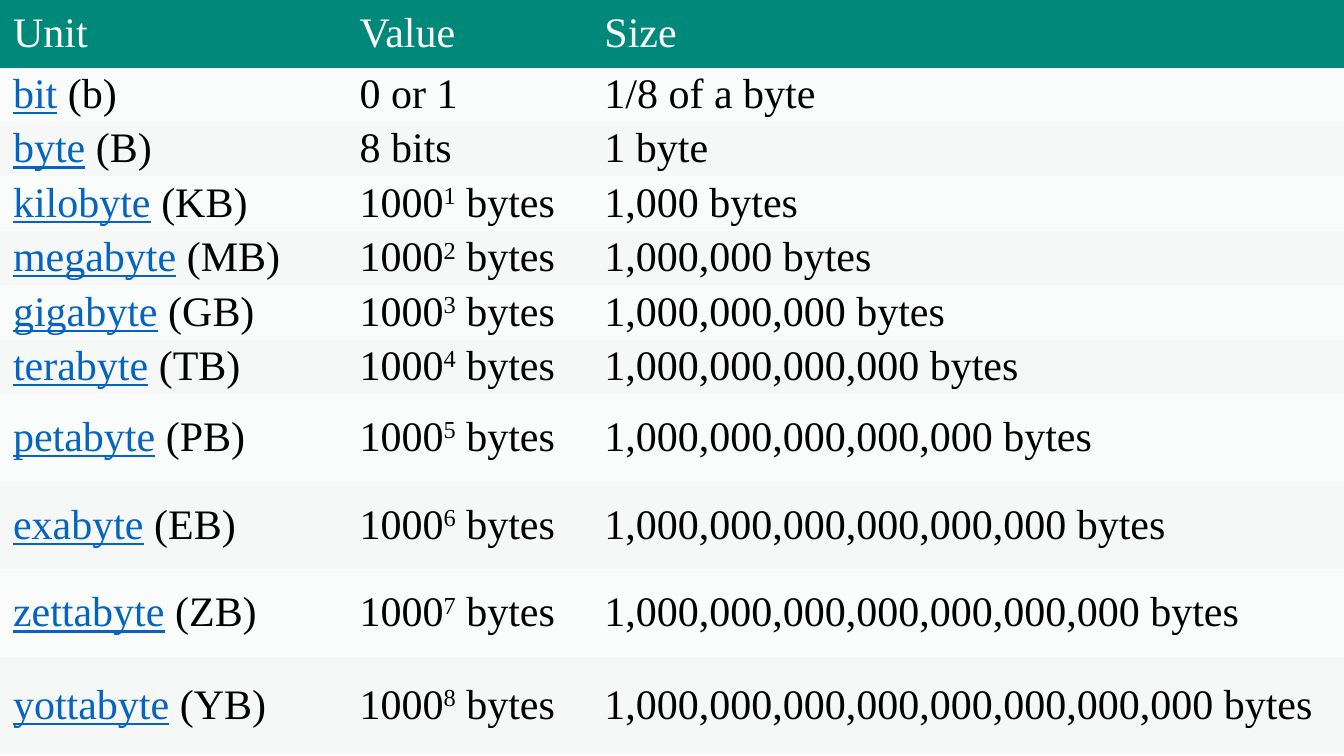
from dataclasses import dataclass

from pptx import Presentation
from pptx.dml.color import RGBColor
from pptx.enum.text import MSO_ANCHOR
from pptx.util import Inches, Pt

MIDDLE = MSO_ANCHOR.MIDDLE
BLANK_LAYOUT = 6
PLAIN_TABLE_STYLE = "{2D5ABB26-0587-4C30-8999-92F81FD0307C}"


@dataclass(frozen=True)
class Theme:
    """Colours, font, type size and cell margins of the slide."""
    font: str = "Times New Roman"
    size: int = 30
    header_fill: str = "00897B"
    header_text: str = "FFFFFF"
    row_fills: tuple = ("FAFCFB", "F6F8F7")
    text: str = "000000"
    link: str = "0563C1"
    side_margin: float = 0.13
    header_margins: tuple = (0.09, 0.10)
    row_margins: tuple = (0.03, 0.04)


THEME = Theme()
SLIDE_WIDTH, SLIDE_HEIGHT = 13.33, 7.5
COLUMN_WIDTHS = (3.44, 2.43, 7.47)
ROW_HEIGHTS = (0.67,) + (0.54,) * 6 + (0.87,) * 3 + (0.96,)
HEADINGS = ("Unit", "Value", "Size")
SMALL_UNITS = (
    ("bit", "b", "0 or 1", "1/8 of a byte"),
    ("byte", "B", "8 bits", "1 byte"),
)
LARGE_UNITS = (
    ("kilobyte", "KB"), ("megabyte", "MB"), ("gigabyte", "GB"), ("terabyte", "TB"),
    ("petabyte", "PB"), ("exabyte", "EB"), ("zettabyte", "ZB"), ("yottabyte", "YB"),
)


def add_text(paragraph, text, color=THEME.text, underline=False, superscript=False):
    """Append a formatted run to a paragraph."""
    run = paragraph.add_run()
    run.text = text
    run.font.name = THEME.font
    run.font.size = Pt(THEME.size)
    run.font.color.rgb = RGBColor.from_string(color)
    run.font.underline = underline
    if superscript:
        run._r.get_or_add_rPr().set("baseline", "30000")


def style_cell(cell, fill, margins):
    """Set the fill, margins and anchor of a cell and return its paragraph."""
    cell.fill.solid()
    cell.fill.fore_color.rgb = RGBColor.from_string(fill)
    cell.margin_left = cell.margin_right = Inches(THEME.side_margin)
    cell.margin_top, cell.margin_bottom = map(Inches, margins)
    cell.vertical_anchor = MIDDLE
    return cell.text_frame.paragraphs[0]


def unit_rows():
    """Return each row as three cells, each a list of text and format pairs."""
    rows = [(name, symbol, [(value, {})], size) for name, symbol, value, size in SMALL_UNITS]
    for power, (name, symbol) in enumerate(LARGE_UNITS, start=1):
        value = [("1000", {}), (str(power), {"superscript": True}), (" bytes", {})]
        rows.append((name, symbol, value, f"{1000 ** power:,} bytes"))
    link = {"color": THEME.link, "underline": True}
    return [
        ([(name, link), (f" ({symbol})", {})], value, [(size, {})])
        for name, symbol, value, size in rows
    ]


def add_unit_table(slide, left, top, width, height):
    """Fill the given box with the table of data units."""
    frame = slide.shapes.add_table(
        len(ROW_HEIGHTS), len(COLUMN_WIDTHS),
        Inches(left), Inches(top), Inches(width), Inches(height))
    table = frame.table
    table.first_row = table.horz_banding = False
    table._tbl.tblPr[0].text = PLAIN_TABLE_STYLE
    for column, share in zip(table.columns, COLUMN_WIDTHS):
        column.width = Inches(width * share / sum(COLUMN_WIDTHS))
    for row, share in zip(table.rows, ROW_HEIGHTS):
        row.height = Inches(height * share / sum(ROW_HEIGHTS))

    for cell, heading in zip(table.rows[0].cells, HEADINGS):
        paragraph = style_cell(cell, THEME.header_fill, THEME.header_margins)
        add_text(paragraph, heading, color=THEME.header_text)
    for index, contents in enumerate(unit_rows()):
        fill = THEME.row_fills[index % 2]
        for cell, runs in zip(table.rows[index + 1].cells, contents):
            paragraph = style_cell(cell, fill, THEME.row_margins)
            for text, text_format in runs:
                add_text(paragraph, text, **text_format)


def main():
    """Build and save the presentation."""
    presentation = Presentation()
    presentation.slide_width = Inches(SLIDE_WIDTH)
    presentation.slide_height = Inches(SLIDE_HEIGHT)
    slide = presentation.slides.add_slide(presentation.slide_layouts[BLANK_LAYOUT])
    add_unit_table(slide, 0, 0, SLIDE_WIDTH, sum(ROW_HEIGHTS))
    presentation.save("out.pptx")


if __name__ == "__main__":
    main()
